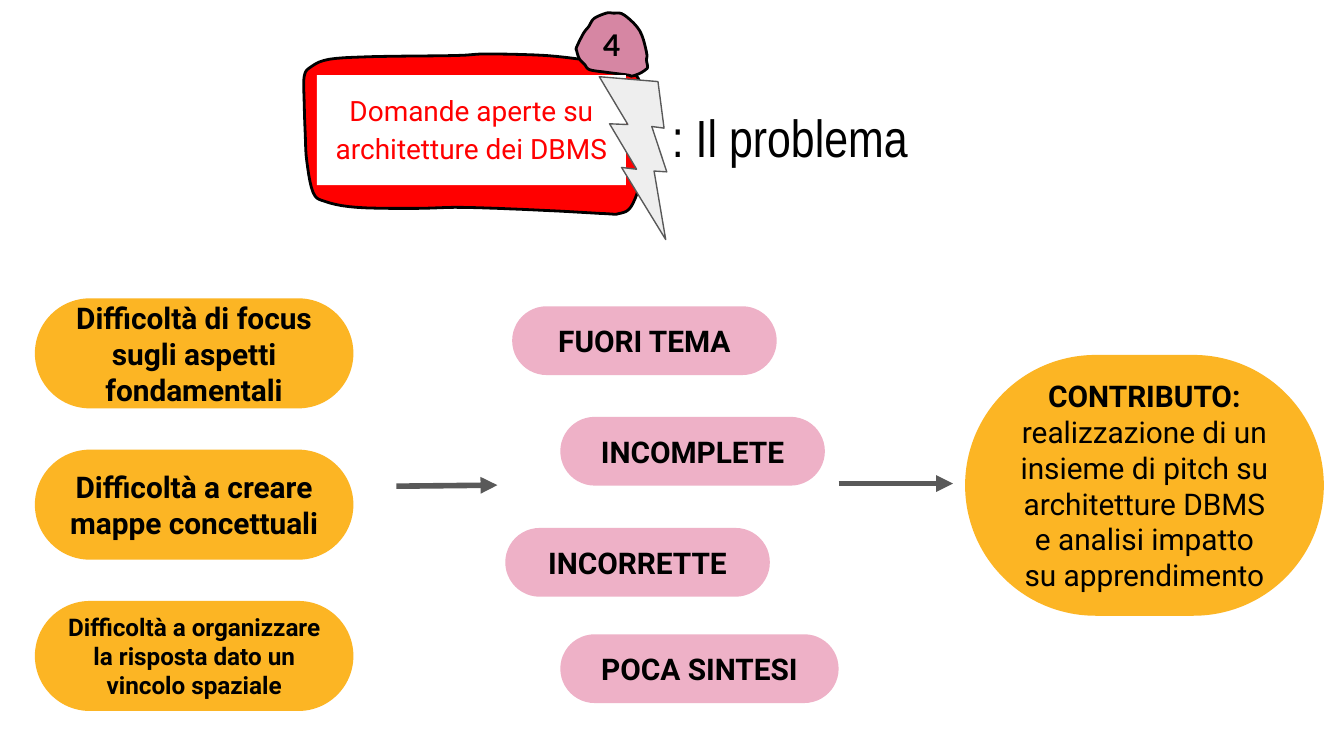
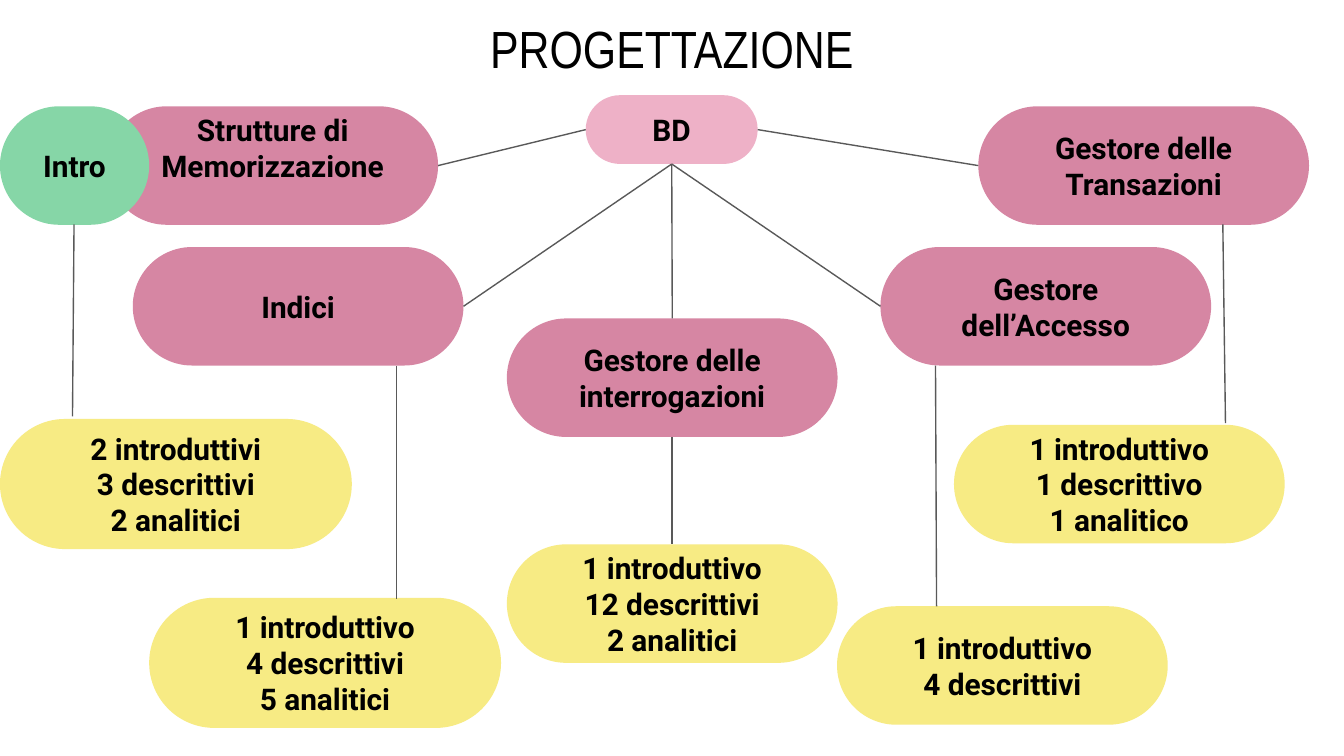
from lxml import etree
from pptx import Presentation
from pptx.dml import color
from pptx.enum import shapes, text
from pptx.oxml import ns
from pptx.util import Cm, Pt

BLACK, WHITE, RED, GREY = "000000", "FFFFFF", "FF0000", "595959"
ORANGE, PINK, ROSE = "FCB524", "EEB1C7", "D686A3"
GREEN, YELLOW, SILVER = "86D6A7", "F7EB84", "EEEEEE"
INSET = 0.25
TOP, LEFT, BOTTOM, RIGHT = range(4)  # connection sites of a pill

# Hand-drawn outlines, in cm from their top left corner
FRAME = [(3.48, 0), (4.6, 0.03), (5.49, 0.13), (5.94, 0.18), (6.25, 0.36),
         (6.38, 0.58), (6.43, 1.22), (6.45, 1.9), (6.38, 2.44), (6.2, 2.9),
         (5.97, 3.02), (5.74, 3.02), (4.83, 2.97), (3.71, 2.92), (2.87, 2.9),
         (2.13, 2.92), (1.02, 2.9), (0.43, 2.79), (0.2, 2.62), (0.08, 2.03),
         (0.05, 1.5), (0.03, 0.89), (0.03, 0.43), (0.15, 0.25), (0.51, 0.1),
         (1.37, 0.05), (2.9, 0.03)]
BADGE = [(0.69, 0), (0.89, 0.03), (1.19, 0.33), (1.32, 0.74), (1.32, 0.89),
         (1.34, 1.02), (1.3, 1.07), (1.19, 1.14), (1.04, 1.19), (0.97, 1.17),
         (0.58, 1.12), (0.25, 1.07), (0.15, 0.97), (0.05, 0.86), (0, 0.71),
         (0, 0.64), (0.13, 0.38), (0.23, 0.25), (0.33, 0.1), (0.56, 0)]


# Shared helpers
def paint(target, value):
    """Give a fill, line or font the colour of a hex string."""
    if hasattr(target, "solid"):
        target.solid()
        target = target.fore_color
    else:
        target = target.color
    target.rgb = color.RGBColor.from_string(value)


def style(shape, fill, line=None, width=0.75):
    shape.shadow.inherit = False
    paint(shape.fill, fill)
    if line:
        paint(shape.line, line)
        shape.line.width = Pt(width)
    else:
        shape.line.fill.background()


def write(shape, lines, size=16, name="Roboto", ink=BLACK, bold=True,
          anchor=text.MSO_ANCHOR.MIDDLE, bottom=INSET):
    frame = shape.text_frame
    frame.word_wrap = True
    frame.auto_size = text.MSO_AUTO_SIZE.NONE
    frame.vertical_anchor = anchor
    frame.margin_left = frame.margin_right = frame.margin_top = Cm(INSET)
    frame.margin_bottom = Cm(bottom)
    frame.text = lines
    for para in frame.paragraphs:
        para.alignment = text.PP_ALIGN.CENTER
        para.font.size, para.font.name, para.font.bold = Pt(size), name, bold
        paint(para.font, ink)
    return frame.paragraphs


def preset(page, kind, box):
    return page.shapes.add_shape(kind, *map(Cm, box))


def pill(page, box, fill, lines, **options):
    shape = preset(page, shapes.MSO_SHAPE.ROUNDED_RECTANGLE, box)
    shape.adjustments[0] = 0.5
    style(shape, fill)
    write(shape, lines, **options)
    return shape


def line(page, start=(0, 0), end=(0, 0), width=0.75, arrow=False):
    link = page.shapes.add_connector(
        shapes.MSO_CONNECTOR.STRAIGHT, *map(Cm, (*start, *end)))
    paint(link.line, GREY)
    link.line.width = Pt(width)
    if arrow:
        etree.SubElement(link.line._get_or_add_ln(), ns.qn("a:tailEnd"),
                         type="triangle")
    etree.SubElement(link._element.spPr, ns.qn("a:effectLst"))
    return link


def join(page, first, first_site, second, second_site):
    link = line(page)
    link.begin_connect(first, first_site)
    link.end_connect(second, second_site)


def smooth(points, steps=5):
    """Return a closed curve that runs through all the points."""
    curve = []
    for i, b in enumerate(points):
        a, c = points[i - 1], points[(i + 1) % len(points)]
        d = points[(i + 2) % len(points)]
        for t in (step / steps for step in range(steps)):
            curve.append(tuple(
                q + t / 2 * (r - p + t * (2 * p - 5 * q + 4 * r - s
                             + t * (3 * (q - r) + s - p)))
                for p, q, r, s in zip(a, b, c, d)))
    return curve


def outline(group, left, top, points, fill):
    curve = [(Cm(left + x), Cm(top + y)) for x, y in smooth(points)]
    builder = group.shapes.build_freeform(*curve[0])
    builder.add_line_segments(curve[1:], close=True)
    shape = builder.convert_to_shape()
    style(shape, fill, BLACK, 1.5)
    return shape


def new_page(deck, title, box):
    page = deck.slides.add_slide(deck.slide_layouts[5])
    heading = page.shapes.title
    heading.left, heading.top, heading.width, heading.height = map(Cm, box)
    write(heading, title, size=28, name="Arial Narrow", bold=False)
    return page


# Slide 1: the problem
def question_card(page, left, top):
    group = page.shapes.add_group_shape()
    outline(group, left, top + 0.77, FRAME, RED)
    badge = outline(group, left + 5.18, top, BADGE, ROSE)
    write(badge, "4", name="Lato")

    label = preset(page, shapes.MSO_SHAPE.RECTANGLE,
                   (left + 0.27, top + 1.17, 5.84, 2.08))
    style(label, WHITE)
    para, = write(label, "Domande aperte su architetture dei DBMS", size=15,
                  ink=RED, bold=False, anchor=text.MSO_ANCHOR.TOP)
    para.line_spacing, para.space_after = 1.15, Pt(16)

    bolt = preset(page, shapes.MSO_SHAPE.LIGHTNING_BOLT,
                  (left + 5.05, top + 1.27, 2.59, 2.54))
    bolt.rotation = 29
    style(bolt, SILVER, GREY)


def difficulties(page, left, top):
    items = [("Difficoltà di focus sugli aspetti fondamentali", 16),
             ("Difficoltà a creare mappe concettuali", 16),
             ("Difficoltà a organizzare la risposta dato un vincolo spaziale", 13)]
    for i, (words, size) in enumerate(items):
        pill(page, (left, top + 2.86 * i, 6.02, 2.08), ORANGE, words, size=size)


def faulty_answers(page, left, top):
    items = [("FUORI TEMA", 0.13, 0, 5), ("INCOMPLETE", 1.04, 2.09, 5),
             ("INCORRETTE", 0, 4.19, 5), ("POCA SINTESI", 1.04, 6.2, 5.26)]
    for words, x, y, width in items:
        pill(page, (left + x, top + y, width, 1.3), PINK, words)


def contribution(page, box):
    shape = pill(page, box, ORANGE, "CONTRIBUTO: ", bold=None)
    para = shape.text_frame.paragraphs[0]
    para.runs[0].font.bold = True
    span = para.add_run()
    span.text = ("realizzazione di un insieme di pitch su architetture DBMS "
                 "e analisi impatto su apprendimento")
    span.font.bold = False


def problem_page(deck):
    page = new_page(deck, ": Il problema", (10.16, 1.9, 9.53, 1.35))
    question_card(page, 5.72, 0.25)
    faulty_answers(page, 9.55, 5.79)
    difficulties(page, 0.66, 5.64)
    line(page, (7.49, 9.19), (9.4, 9.17), width=3, arrow=True)
    line(page, (15.85, 9.14), (18.01, 9.14), width=3, arrow=True)
    contribution(page, (18.24, 6.71, 6.78, 4.93))


# Slide 2: the design tree
def topics(page, left, top):
    hub = pill(page, (left + 11.07, top, 3.25, 1.3), PINK, "BD")
    items = [("Strutture di Memorizzazione", 2.03, 0.21, LEFT, RIGHT, 0.93),
             ("Gestore delle interrogazioni", 9.58, 4.22, BOTTOM, TOP, INSET),
             ("Indici", 2.51, 2.87, BOTTOM, RIGHT, INSET),
             ("Gestore delle Transazioni", 18.49, 0.21, RIGHT, LEFT, INSET),
             ("Gestore dell’Accesso", 16.64, 2.87, BOTTOM, LEFT, INSET)]
    for words, x, y, hub_site, site, bottom in items:
        topic = pill(page, (left + x, top + y, 6.25, 2.24), ROSE, words,
                     bottom=bottom)
        join(page, hub, hub_site, topic, site)
    pill(page, (left, top + 0.21, 2.82, 2.24), GREEN, "Intro")


def pitch_counts(page, left, top):
    small, large = (6.25, 2.24), (6.65, 2.46)
    # words, place, size, then the stem that comes down from the topic
    items = [
        ("2 introduttivi\n3 descrittivi\n2 analitici", (0, 0), large,
         (1.4, -3.68), (1.37, -0.05)),
        ("1 introduttivo\n4 descrittivi\n5 analitici", (2.82, 3.38), large,
         (7.49, -1.01), (7.49, 3.41)),
        ("1 introduttivo\n12 descrittivi\n2 analitici", (9.58, 2.37), small,
         (12.7, 0.34), (12.7, 2.37)),
        ("1 introduttivo\n4 descrittivi", (15.82, 3.54), small,
         (17.68, -1.01), (17.7, 3.54)),
        ("1 introduttivo\n1 descrittivo\n1 analitico", (18.03, 0.11), small,
         (23.11, -3.68), (23.16, 0.08)),
    ]
    for words, (x, y), size, start, end in items:
        pill(page, (left + x, top + y, *size), YELLOW, words)
        line(page, *((left + a, top + b) for a, b in (start, end)))


def design_page(deck):
    page = new_page(deck, "PROGETTAZIONE", (5.56, 0.23, 14.27, 1.35))
    topics(page, 0, 1.8)
    pitch_counts(page, 0, 7.92)


def main():
    deck = Presentation()
    deck.slide_width, deck.slide_height = Cm(25.4), Cm(14.29)
    problem_page(deck)
    design_page(deck)
    deck.save("out.pptx")


if __name__ == "__main__":
    main()
